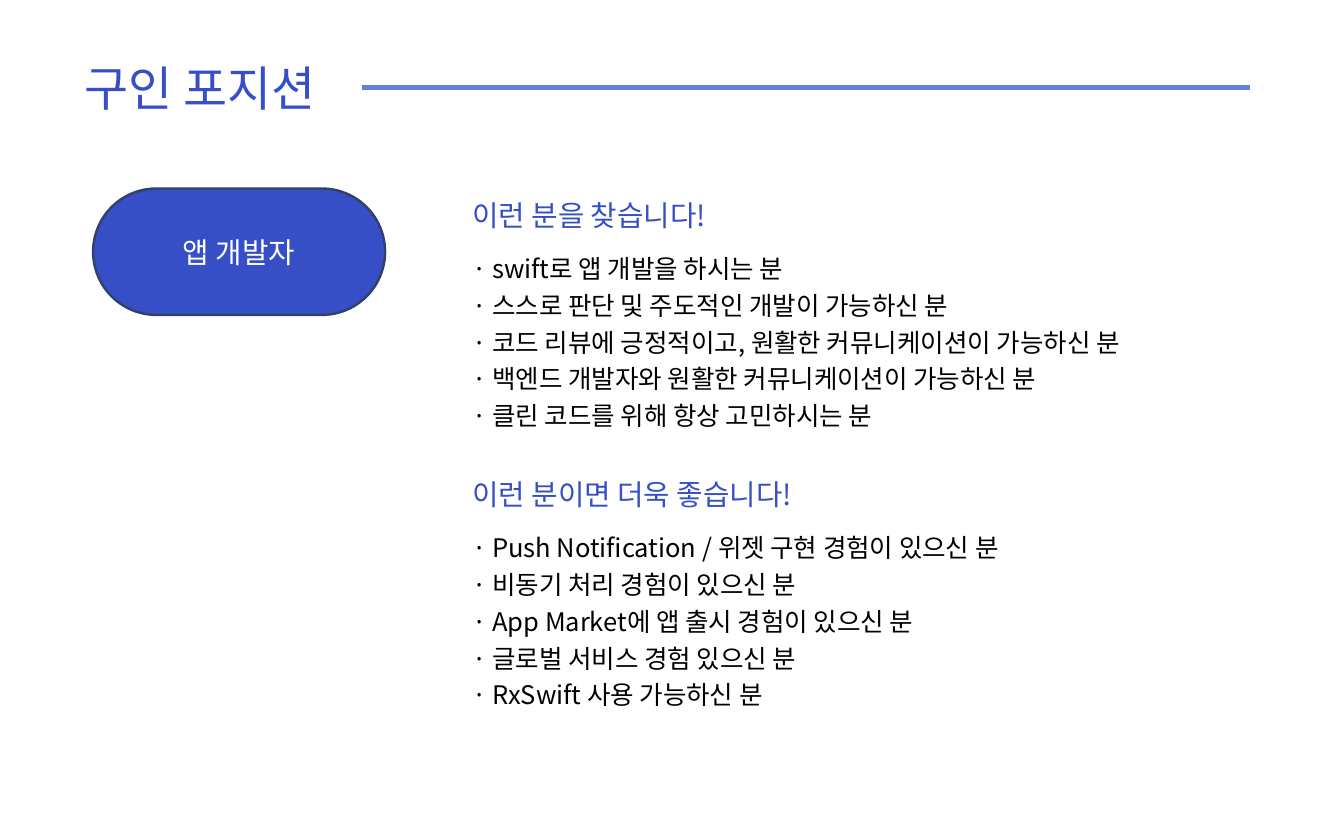
from lxml import etree
from pptx import Presentation
from pptx.dml.color import RGBColor
from pptx.enum import shapes, text
from pptx.oxml import ns
from pptx.util import Inches, Pt

BLUE = RGBColor(0x36, 0x4F, 0xC6)
RULE_BLUE = RGBColor(0x5E, 0x81, 0xD9)
NAVY = RGBColor(0x30, 0x41, 0x6A)
WHITE = RGBColor(0xFF, 0xFF, 0xFF)
BLACK = RGBColor(0, 0, 0)
FONT = "Noto Sans CJK KR"

SECTIONS = [
    ("이런 분을 찾습니다!", [
        "swift로 앱 개발을 하시는 분",
        "스스로 판단 및 주도적인 개발이 가능하신 분",
        "코드 리뷰에 긍정적이고, 원활한 커뮤니케이션이 가능하신 분",
        "백엔드 개발자와 원활한 커뮤니케이션이 가능하신 분",
        "클린 코드를 위해 항상 고민하시는 분",
    ]),
    ("이런 분이면 더욱 좋습니다!", [
        "Push Notification / 위젯 구현 경험이 있으신 분",
        "비동기 처리 경험이 있으신 분",
        "App Market에 앱 출시 경험이 있으신 분",
        "글로벌 서비스 경험 있으신 분",
        "RxSwift 사용 가능하신 분",
    ]),
]


def write(frame, lines, size, color, spacing=1.0):
    frame.word_wrap = True
    frame.text = "\n".join(lines)
    for paragraph in frame.paragraphs:
        paragraph.line_spacing = spacing
        for run in paragraph.runs:
            run.font.size = Pt(size)
            run.font.name = FONT
            run.font.color.rgb = color
            east_asian = etree.SubElement(run.font._element, ns.qn("a:ea"))
            east_asian.set("typeface", FONT)


def add_text(slide, left, top, width, height, lines, size, color, spacing=1.0):
    box = slide.shapes.add_textbox(
        Inches(left), Inches(top), Inches(width), Inches(height))
    write(box.text_frame, lines, size, color, spacing)


def add_rule(slide, left, right, y):
    rule = slide.shapes.add_connector(
        shapes.MSO_CONNECTOR.STRAIGHT,
        Inches(left), Inches(y), Inches(right), Inches(y))
    rule.line.color.rgb = RULE_BLUE
    rule.line.width = Pt(3)
    etree.SubElement(rule._element.spPr, ns.qn("a:effectLst"))


def add_role(slide, left, top, width, height, role):
    pill = slide.shapes.add_shape(
        shapes.MSO_SHAPE.ROUNDED_RECTANGLE,
        Inches(left), Inches(top), Inches(width), Inches(height))
    pill.adjustments[0] = 0.5
    pill.shadow.inherit = False
    pill.fill.solid()
    pill.fill.fore_color.rgb = BLUE
    pill.line.color.rgb = NAVY
    pill.line.width = Pt(1.5)
    write(pill.text_frame, [role], 18, WHITE)
    pill.text_frame.vertical_anchor = text.MSO_ANCHOR.MIDDLE
    pill.text_frame.paragraphs[0].alignment = text.PP_ALIGN.CENTER


def add_section(slide, top, heading, wishes):
    add_text(slide, 4.01, top, 3.67, 0.43, [heading], 18, BLUE, 1.1)
    bullets = [f"· {wish}" for wish in wishes]
    add_text(slide, 4.01, top + 0.46, 7.15, 1.67, bullets, 16, BLACK, 1.2)


def main():
    deck = Presentation()
    deck.slide_width = Inches(11.69)
    deck.slide_height = Inches(7.09)
    slide = deck.slides.add_slide(deck.slide_layouts[6])

    add_text(slide, 0.64, 0.46, 2.89, 0.59, ["구인 포지션"], 30, BLUE)
    add_rule(slide, 3.15, 10.87, 0.76)
    add_role(slide, 0.81, 1.64, 2.54, 1.1, "앱 개발자")
    for index, (heading, wishes) in enumerate(SECTIONS):
        add_section(slide, 1.64 + 2.43 * index, heading, wishes)

    deck.save("out.pptx")


main()
